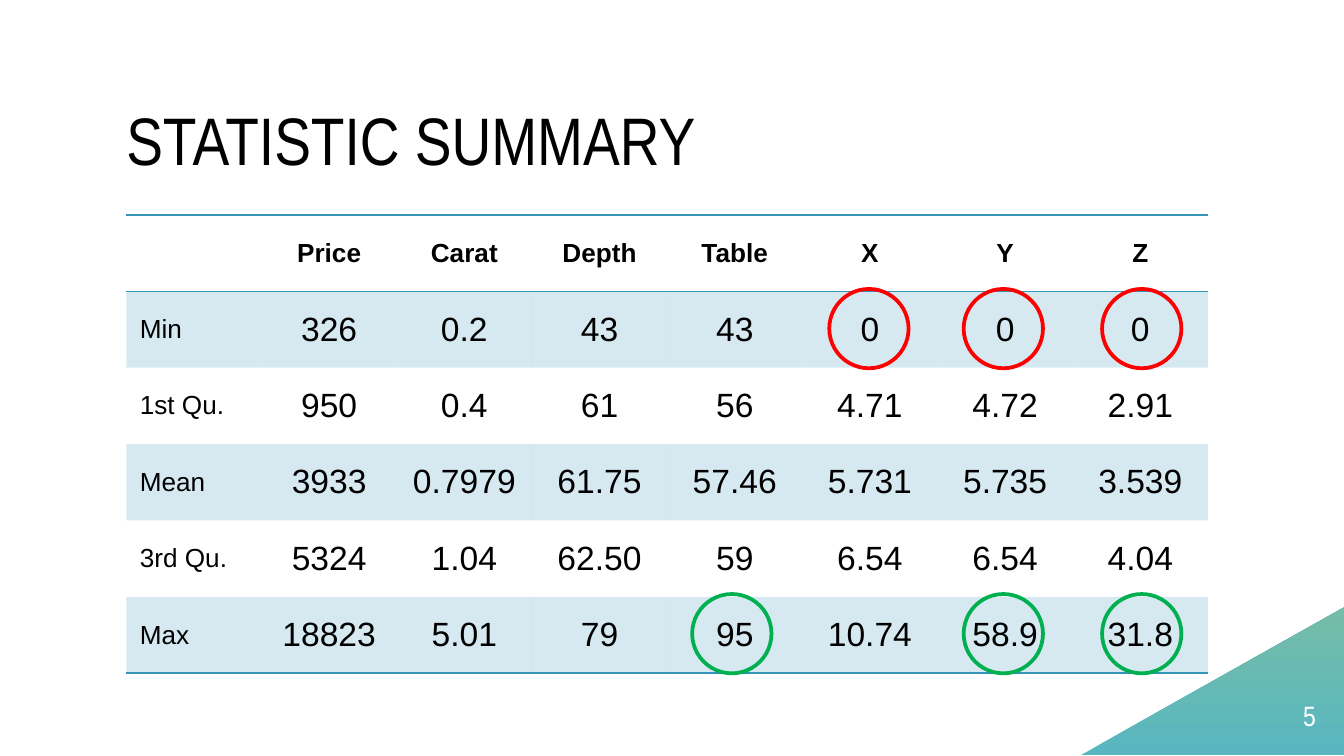
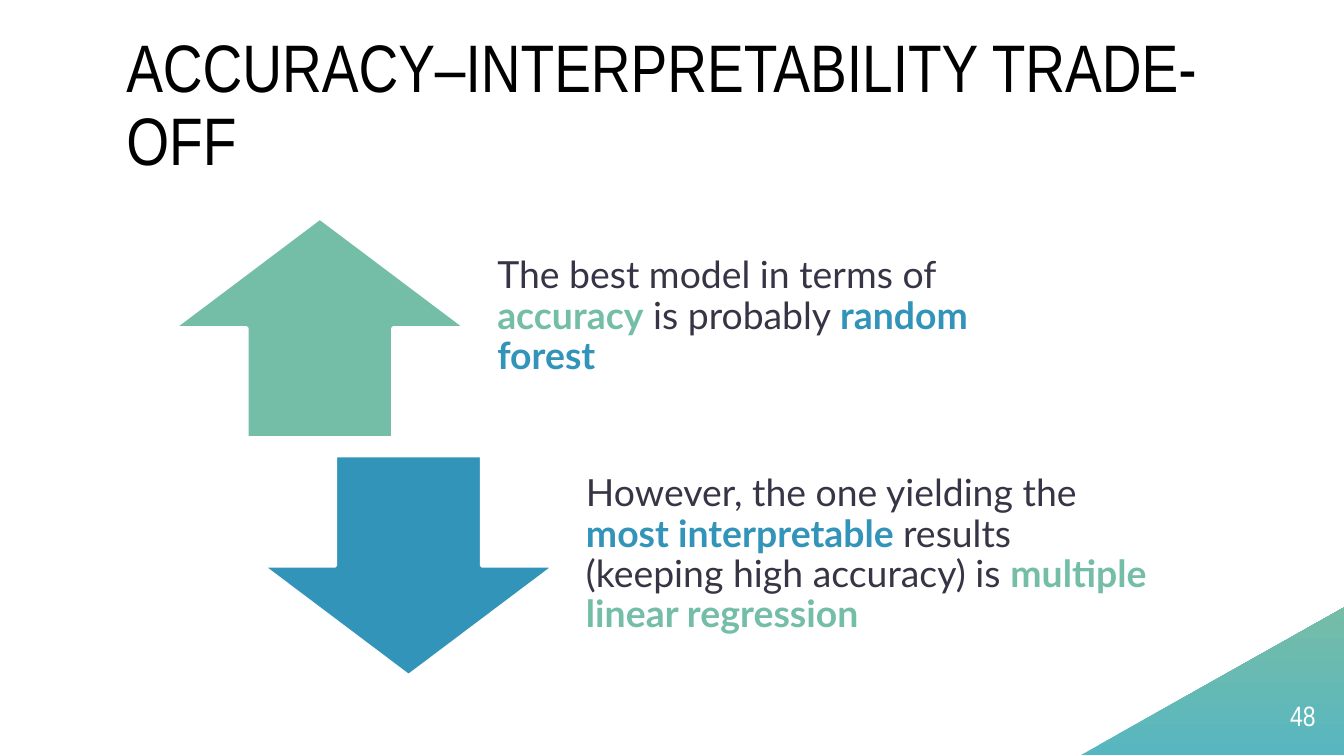
from lxml import etree
from pptx import Presentation
from pptx import util as u
from pptx.dml.color import RGBColor
from pptx.enum import shapes, text
from pptx.oxml import ns

BLACK, WHITE, INK = "000000", "FFFFFF", "373545"
TEAL, GREEN, BLUE = "58B6C0", "75BDA7", "3494BA"
ARROW_GREEN, ARROW_BLUE = "74BDA7", "3394BA"
MIN_RING, MAX_RING = "FF0000", "00B050"
NO_STYLE = "{2D5ABB26-0587-4C30-8999-92F81FD0307C}"
BODY = {"name": "Lato", "size": u.Pt(20), "bold": False}
HEADING = {"name": "Arial Narrow", "size": u.Pt(36)}
PAGE_NUMBER = {"name": "Arial Narrow", "size": u.Pt(15)}
LABEL = {"name": "Arial", "size": u.Pt(14), "bold": False}
HEADER = {**LABEL, "bold": True}
VALUE = {**LABEL, "size": u.Pt(18)}

STATISTICS = [
    ["", "Price", "Carat", "Depth", "Table", "X", "Y", "Z"],
    ["Min", "326", "0.2", "43", "43", "0", "0", "0"],
    ["1st Qu.", "950", "0.4", "61", "56", "4.71", "4.72", "2.91"],
    ["Mean", "3933", "0.7979", "61.75", "57.46", "5.731", "5.735", "3.539"],
    ["3rd Qu.", "5324", "1.04", "62.50", "59", "6.54", "6.54", "4.04"],
    ["Max", "18823", "5.01", "79", "95", "10.74", "58.9", "31.8"],
]


def color(value):
    return RGBColor.from_string(value)


def inches(*lengths):
    return [u.Inches(length) for length in lengths]


def apply_format(target, values):
    for name, value in values.items():
        setattr(target, name, value)


def add_span(para, words, font, ink):
    span = para.add_run()
    span.text = words
    apply_format(span.font, font)
    span.font.color.rgb = color(ink)


def add_text(page, place, spans, font, anchor, align=text.PP_ALIGN.LEFT,
             spacing=None, insets=(0, 0, 0, 0)):
    frame = page.shapes.add_textbox(*inches(*place)).text_frame
    left, top, right, bottom = inches(*insets)
    apply_format(frame, {
        "word_wrap": True, "vertical_anchor": anchor,
        "margin_left": left, "margin_top": top,
        "margin_right": right, "margin_bottom": bottom,
    })
    para = frame.paragraphs[0]
    apply_format(para, {"alignment": align, "line_spacing": spacing})
    for words, ink, extra in spans:
        add_span(para, words, {**font, **extra}, ink)


def add_figure(page, kind, place, line, fill=None):
    figure = page.shapes.add_shape(kind, *inches(*place))
    figure.shadow.inherit = False
    if fill:
        figure.fill.solid()
        figure.fill.fore_color.rgb = color(fill)
    else:
        figure.fill.background()
    figure.line.color.rgb = color(line)
    figure.line.width = u.Pt(2)


def add_corner(page):
    corner = page.shapes.add_shape(
        shapes.MSO_SHAPE.RIGHT_TRIANGLE, *inches(8.47, 4.09, 1.1, 1.96))
    corner.rotation = 270
    corner.shadow.inherit = False
    corner.line.fill.background()
    corner.fill.gradient()
    corner.fill.gradient_angle = 0
    for stop, shade in zip(corner.fill.gradient_stops, (TEAL, GREEN)):
        stop.color.rgb = color(shade)


def add_page(deck, title, number):
    page = deck.slides.add_slide(deck.slide_layouts[6])
    add_corner(page)
    add_text(page, (0.94, 0.91, 8.14, 0.43), [(title, BLACK, {})], HEADING,
             text.MSO_ANCHOR.BOTTOM, spacing=0.9)
    add_text(page, (9.19, 5.11, 0.6, 0.43), [(number, WHITE, {})], PAGE_NUMBER,
             text.MSO_ANCHOR.MIDDLE, text.PP_ALIGN.RIGHT)
    return page


def tint_cell(cell, shade, percent):
    cell.fill.solid()
    cell.fill.fore_color.rgb = color(shade)
    shade_node = next(cell._tc.tcPr.iter(ns.qn("a:srgbClr")))
    etree.SubElement(shade_node, ns.qn("a:alpha"), val=str(percent * 1000))


def add_borders(cell, sides, shade):
    properties = cell._tc.get_or_add_tcPr()
    for index, side in enumerate(sides):
        border = etree.Element(ns.qn(f"a:ln{side}"), w=str(u.Pt(1)))
        fill = etree.SubElement(border, ns.qn("a:solidFill"))
        etree.SubElement(fill, ns.qn("a:srgbClr"), val=shade)
        properties.insert(index, border)


def fill_cell(cell, words, font, align):
    cell.vertical_anchor = text.MSO_ANCHOR.MIDDLE
    para = cell.text_frame.paragraphs[0]
    para.alignment = align
    if words:
        add_span(para, words, font, BLACK)


def add_statistics(page, rows):
    table = page.shapes.add_table(
        len(rows), len(rows[0]), *inches(0.94, 1.6, 8.05, 3.41)).table
    apply_format(table, {"first_row": False, "horz_banding": False})
    table._tbl.tblPr.find(ns.qn("a:tableStyleId")).text = NO_STYLE
    borders = {0: "TB", len(rows) - 1: "B"}
    for r, row in enumerate(rows):
        for c, words in enumerate(row):
            cell = table.cell(r, c)
            font = HEADER if r == 0 else VALUE if c else LABEL
            align = text.PP_ALIGN.CENTER if c else text.PP_ALIGN.LEFT
            fill_cell(cell, words, font, align)
            if r % 2:
                tint_cell(cell, BLUE, 20)
            else:
                cell.fill.background()
            add_borders(cell, borders.get(r, ""), BLUE)


def add_rings(page, lefts, top, line):
    for left in lefts:
        add_figure(page, shapes.MSO_SHAPE.OVAL, (left, top, 0.59, 0.59), line)


def add_argument(page, kind, left, top, fill, spans):
    add_figure(page, kind, (left, top, 2.18, 1.64), WHITE, fill)
    add_text(page, (left + 2.25, top, 4.51, 1.64), spans, BODY,
             text.MSO_ANCHOR.MIDDLE, spacing=0.9, insets=(0.16, 0, 0.16, 0.16))


def main():
    deck = Presentation()
    deck.slide_width = u.Inches(10)
    deck.slide_height = deck.slide_width * 9 // 16

    summary = add_page(deck, "STATISTIC SUMMARY", "5")
    add_statistics(summary, STATISTICS)
    add_rings(summary, (6.17, 7.17, 8.2), 2.15, MIN_RING)
    add_rings(summary, (5.15, 7.17, 8.2), 4.42, MAX_RING)

    bold = {"bold": True}
    tradeoff = add_page(deck, "ACCURACY–INTERPRETABILITY TRADE-OFF", "48")
    add_argument(tradeoff, shapes.MSO_SHAPE.UP_ARROW, 1.29, 1.62, ARROW_GREEN, [
        ("The best model in terms of ", INK, {}),
        ("accuracy", ARROW_GREEN, bold),
        (" is probably ", INK, {}),
        ("random forest", ARROW_BLUE, bold),
    ])
    add_argument(tradeoff, shapes.MSO_SHAPE.DOWN_ARROW, 1.95, 3.39, ARROW_BLUE, [
        ("However, the one yielding the ", INK, {}),
        ("most interpretable ", ARROW_BLUE, bold),
        ("results (keeping high accuracy) is ", INK, {}),
        ("multiple linear regression", ARROW_GREEN, bold),
    ])
    deck.save("out.pptx")


if __name__ == "__main__":
    main()
